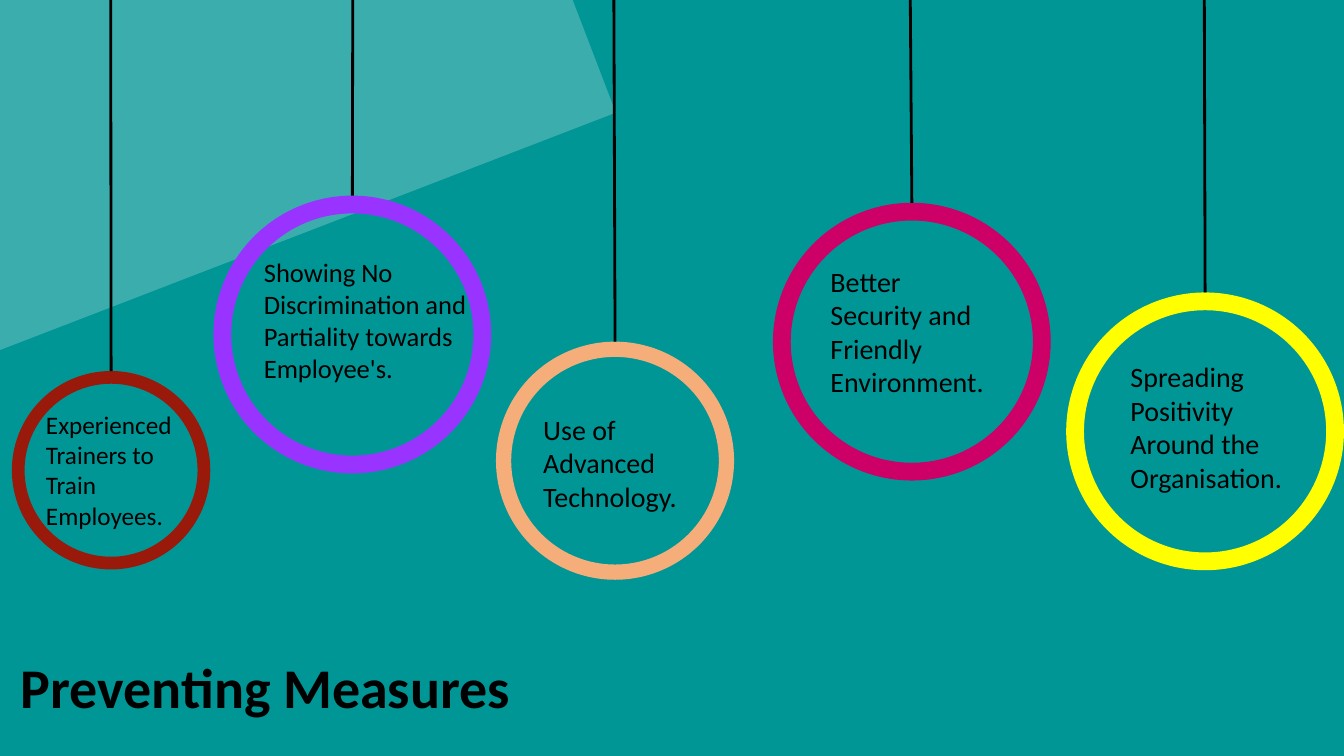
from lxml import etree
from pptx import Presentation
from pptx import util as u
from pptx.dml import color as c
from pptx.enum import shapes, text
from pptx.oxml import ns

STYLE = {"name": "Calibri", "bold": False}
BLACK = "000000"


def paint(value):
    return c.RGBColor.from_string(value)


class Board:
    def __init__(self, slide, style):
        self.slide = slide
        self.style = style

    def back(self, hue):
        fill = self.slide.background.fill
        fill.solid()
        fill.fore_color.rgb = paint(hue)

    def finish(self, shape, hue):
        shape.shadow.inherit = False
        shape.fill.solid()
        shape.fill.fore_color.rgb = paint(hue)
        shape.line.fill.background()

    def panel(self, points, hue, alpha):
        spots = [(u.Cm(x), u.Cm(y)) for x, y in points]
        build = self.slide.shapes.build_freeform(*spots[0])
        build.add_line_segments(spots[1:], close=True)
        shape = build.convert_to_shape()
        self.finish(shape, hue)
        tint = shape.fill._xPr.find(".//" + ns.qn("a:srgbClr"))
        etree.SubElement(tint, ns.qn("a:alpha"), val=str(alpha * 1000))

    def label(self, home, box, lines, **extra):
        frame = home.add_textbox(*map(u.Cm, box)).text_frame
        frame.word_wrap = True
        frame.auto_size = text.MSO_AUTO_SIZE.SHAPE_TO_FIT_TEXT
        frame.text = lines
        for para in frame.paragraphs:
            for key, value in {**self.style, **extra}.items():
                setattr(para.font, key, value)
            para.font.color.rgb = paint(BLACK)

    def ring(self, home, x, y, size, hue):
        shape = home.add_shape(shapes.MSO_SHAPE.DONUT, *map(u.Cm, (x, y, size, size)))
        shape.adjustments[0] = 0.064
        self.finish(shape, hue)
        return shape

    def string(self, home, x, ring):
        line = home.add_connector(shapes.MSO_CONNECTOR.STRAIGHT, u.Cm(x), 0, u.Cm(x), ring.top)
        line.end_connect(ring, 0)
        line.line.color.rgb = paint(BLACK)
        line.line.width = u.Pt(2)
        etree.SubElement(line._element.spPr, ns.qn("a:effectLst"))

    def hanger(self, disc, hue, x, box, size, lines):
        home = self.slide.shapes.add_group_shape().shapes
        ring = self.ring(home, *disc, hue)
        self.string(home, x, ring)
        self.label(home, box, lines, size=u.Pt(size))


HANGERS = [
    ((0.3, 9.35, 5), "99190B", 2.79, (0.91, 10.19, 4.11, 3.33), 18,
     "Experienced\nTrainers to Train Employees."),
    ((5.38, 4.93, 7), "9933FF", 8.89, (6.4, 6.32, 6.07, 3.51), 19,
     "Showing No Discrimination and Partiality towards Employee's."),
    ((12.5, 8.61, 6), "F5AD7A", 15.47, (13.44, 10.26, 4.11, 2.82), 20,
     "Use of Advanced Technology."),
    ((19.48, 5.11, 7), "CC0066", 22.94, (20.68, 6.53, 4.6, 3.68), 20,
     "Better Security and Friendly Environment."),
    ((26.87, 7.37, 7), "FFFF00", 30.35, (28.24, 8.94, 4.6, 3.68), 20,
     "Spreading Positivity Around the\nOrganisation."),
]


def main():
    deck = Presentation()
    deck.slide_width, deck.slide_height = u.Cm(33.87), u.Cm(19.05)
    board = Board(deck.slides.add_slide(deck.slide_layouts[6]), STYLE)
    board.back("009696")
    board.panel([(-6.07, -2.46), (13.49, -2.46), (15.52, 2.84), (-5.99, 11.13), (-6.07, 10.97)],
                "F2F2F2", 25)
    board.label(board.slide.shapes, (0.28, 16.33, 14.35, 1.96), "Preventing Measures",
                size=u.Pt(40), bold=True)
    for item in HANGERS:
        board.hanger(*item)
    deck.save("out.pptx")


if __name__ == "__main__":
    main()
